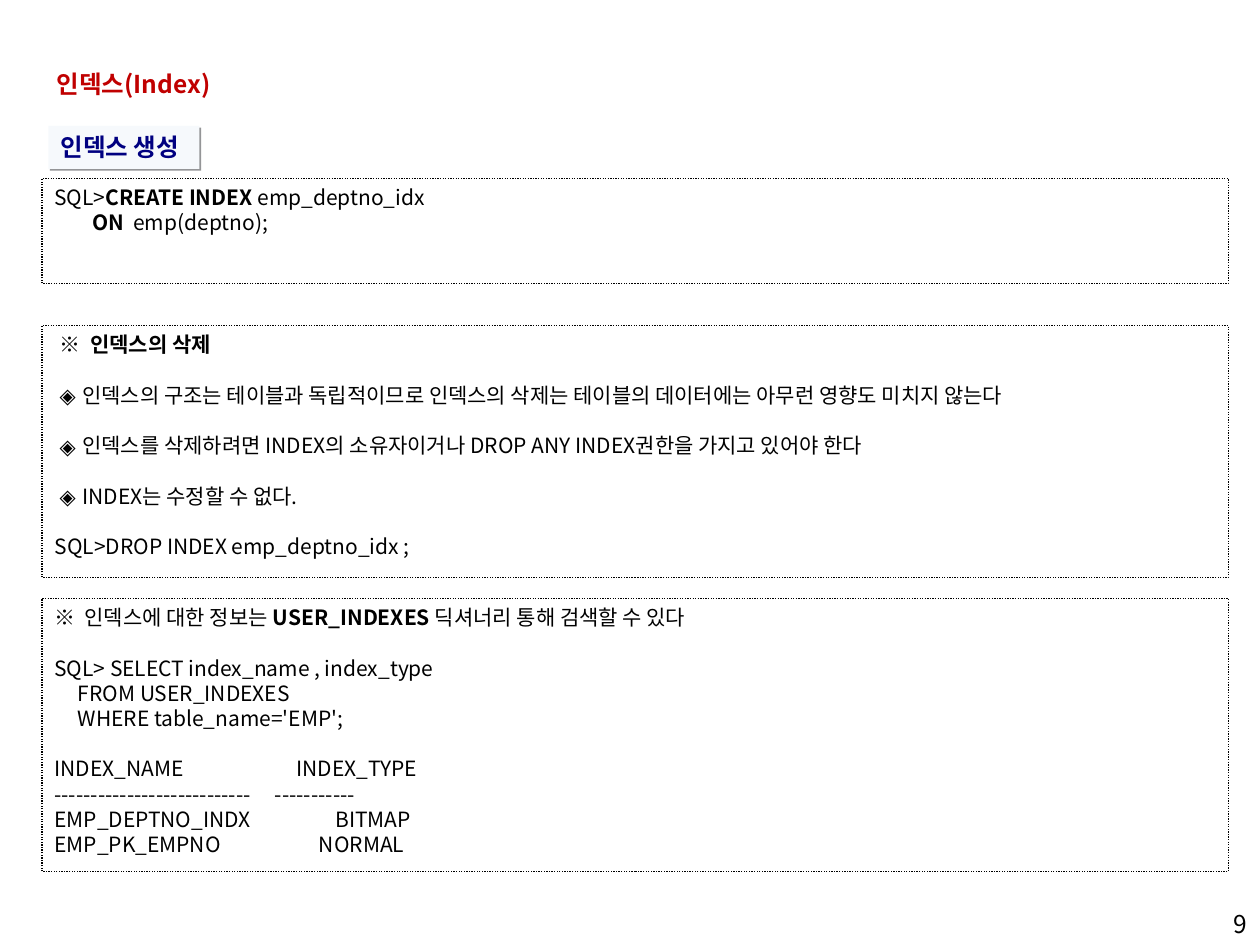
from dataclasses import dataclass
from typing import Optional

from lxml import etree
from pptx import Presentation
from pptx import util as u
from pptx.dml.color import RGBColor
from pptx.enum import dml, shapes, text
from pptx.oxml.ns import qn

BLACK = RGBColor(0x00, 0x00, 0x00)
RED = RGBColor(0xC0, 0x00, 0x00)
NAVY = RGBColor(0x00, 0x00, 0x80)
PALE = RGBColor(0xF6, 0xF9, 0xFC)
SHADOW = RGBColor(0x94, 0x95, 0x97)
FONT = "Noto Sans CJK KR"
BODY_SIZE, HEADING_SIZE = 12, 14
LINE_RATIO = 1.2
CELL = u.Inches(1) // 12  # the slide is a grid of 120 columns by 90 rows
SLIDE_COLUMNS, SLIDE_ROWS = 120, 90
PANEL_COLUMN, PANEL_COLUMNS = 4, 113


@dataclass
class Area:
    column: float
    row: float
    columns: float
    rows: float


@dataclass
class Line:
    """A paragraph; parts between ** marks are bold."""
    words: str
    gap: bool = False  # one empty line above
    bullet: Optional[str] = None
    indent: float = 0  # inches
    tab: Optional[float] = None  # inches


@dataclass
class Panel:
    row: float
    rows: float
    lines: list[Line]
    is_body: bool = False


PANELS = [
    Panel(17, 10, [
        Line("SQL>**CREATE INDEX** emp_deptno_idx\v        **ON**  emp(deptno);"),
    ]),
    Panel(31, 24, [
        Line("**※  인덱스의 삭제**", indent=0.04),
        Line("인덱스의 구조는 테이블과 독립적이므로 인덱스의 삭제는 "
             "테이블의 데이터에는 아무런 영향도 미치지 않는다", gap=True, bullet="◈"),
        Line("인덱스를 삭제하려면 INDEX의 소유자이거나 "
             "DROP ANY INDEX권한을 가지고 있어야 한다", gap=True, bullet="◈"),
        Line("INDEX는 수정할 수 없다.", gap=True, bullet="◈"),
        Line("SQL>DROP INDEX emp_deptno_idx ;", gap=True),
    ], is_body=True),
    Panel(57, 26, [
        Line("※  인덱스에 대한 정보는 **USER_INDEXES **딕셔너리 통해 검색할 수 있다"),
        Line("SQL> SELECT index_name , index_type", gap=True),
        Line("     FROM USER_INDEXES"),
        Line("     WHERE table_name='EMP';"),
        Line("INDEX_NAME\tINDEX_TYPE", gap=True, tab=1.92),
        Line("---------------------------\t-----------", tab=1.75),
        Line("EMP_DEPTNO_INDX\tBITMAP", tab=2.23),
        Line("EMP_PK_EMPNO\tNORMAL", tab=2.1),
    ]),
]


def place(shape, area: Area) -> None:
    shape.left, shape.top = round(area.column * CELL), round(area.row * CELL)
    shape.width, shape.height = round(area.columns * CELL), round(area.rows * CELL)


def add_rectangle(slide, area: Area):
    shape = slide.shapes.add_shape(shapes.MSO_SHAPE.RECTANGLE, 0, 0, 0, 0)
    shape.shadow.inherit = False
    place(shape, area)
    return shape


def format_layout(paragraph, line: Line) -> None:
    """Set a tab stop, or else the indent and the bullet."""
    properties = paragraph._p.get_or_add_pPr()
    if line.tab:
        # An explicit indent would make LibreOffice drop the tab stop
        position = str(u.Inches(line.tab))
        properties.set("defTabSz", position)
        tabs = etree.SubElement(properties, qn("a:tabLst"))
        etree.SubElement(tabs, qn("a:tab"), pos=position, algn="l")
        return
    left, hanging = (0.22, -0.18) if line.bullet else (line.indent, 0)
    properties.set("marL", str(u.Inches(left)))
    properties.set("indent", str(u.Inches(hanging)))
    if line.bullet:
        etree.SubElement(properties, qn("a:buFont"), typeface=FONT)
        etree.SubElement(properties, qn("a:buChar"), char=line.bullet)
    else:
        etree.SubElement(properties, qn("a:buNone"))


def write(shape, lines: list[Line], *, size: float = BODY_SIZE,
          color: RGBColor = BLACK, wrap: bool = True,
          align=text.PP_ALIGN.LEFT) -> None:
    frame = shape.text_frame
    frame.auto_size = text.MSO_AUTO_SIZE.NONE
    frame.word_wrap = wrap
    frame.vertical_anchor = text.MSO_ANCHOR.TOP
    frame.margin_left = frame.margin_right = u.Inches(0.1)
    frame.margin_top = frame.margin_bottom = u.Inches(0.05)
    pitch = u.Pt(size * LINE_RATIO)
    for index, line in enumerate(lines):
        paragraph = frame.add_paragraph() if index else frame.paragraphs[0]
        paragraph.alignment = align
        paragraph.line_spacing = pitch
        paragraph.space_before = pitch if line.gap else u.Pt(0)
        paragraph.space_after = u.Pt(0)
        format_layout(paragraph, line)
        for part, words in enumerate(line.words.split("**")):
            for row, piece in enumerate(words.split("\v")):
                if row:
                    paragraph.add_line_break()
                if not piece:
                    continue
                run = paragraph.add_run()
                run.text = piece
                run.font.size = u.Pt(size)
                run.font.bold = part % 2 == 1
                run.font.color.rgb = color
                run.font.name = FONT
                etree.SubElement(run._r.get_or_add_rPr(), qn("a:ea"), typeface=FONT)


def draw_panel(slide, panel: Panel) -> None:
    area = Area(PANEL_COLUMN, panel.row, PANEL_COLUMNS, panel.rows)
    if panel.is_body:
        shape = slide.placeholders[1]
        place(shape, area)
    else:
        shape = add_rectangle(slide, area)
    shape.fill.background()
    shape.line.color.rgb = BLACK
    shape.line.width = u.Pt(0.75)
    shape.line.dash_style = dml.MSO_LINE.ROUND_DOT
    write(shape, panel.lines)


def draw_label(slide, area: Area, words: str) -> None:
    shape = add_rectangle(slide, area)
    shape.fill.solid()
    shape.fill.fore_color.rgb = PALE
    shape.line.fill.background()
    effects = shape._element.spPr.find(qn("a:effectLst"))
    shadow = etree.SubElement(effects, qn("a:outerShdw"), dist=str(u.Pt(1.4)),
                              dir=str(45 * 60000), algn="ctr", rotWithShape="0")
    etree.SubElement(shadow, qn("a:srgbClr"), val=str(SHADOW))
    write(shape, [Line(f"**{words}**")], size=HEADING_SIZE, color=NAVY, wrap=False)


def main() -> None:
    presentation = Presentation()
    presentation.slide_width = SLIDE_COLUMNS * CELL
    presentation.slide_height = SLIDE_ROWS * CELL
    slide = presentation.slides.add_slide(presentation.slide_layouts[1])

    # Title and section label
    title = slide.shapes.title
    place(title, Area(4.2, 6, 24, 4.1))
    write(title, [Line("**인덱스(Index)**")], size=HEADING_SIZE, color=RED)
    draw_label(slide, Area(4.6, 12, 14.4, 4.1), "인덱스 생성")

    # Dotted panels
    for panel in PANELS:
        draw_panel(slide, panel)

    # Page number
    number = slide.shapes.add_textbox(0, 0, 0, 0)
    place(number, Area(95, 86, 25, 6))
    write(number, [Line("9")], size=HEADING_SIZE, align=text.PP_ALIGN.RIGHT)

    presentation.save("out.pptx")


if __name__ == "__main__":
    main()
